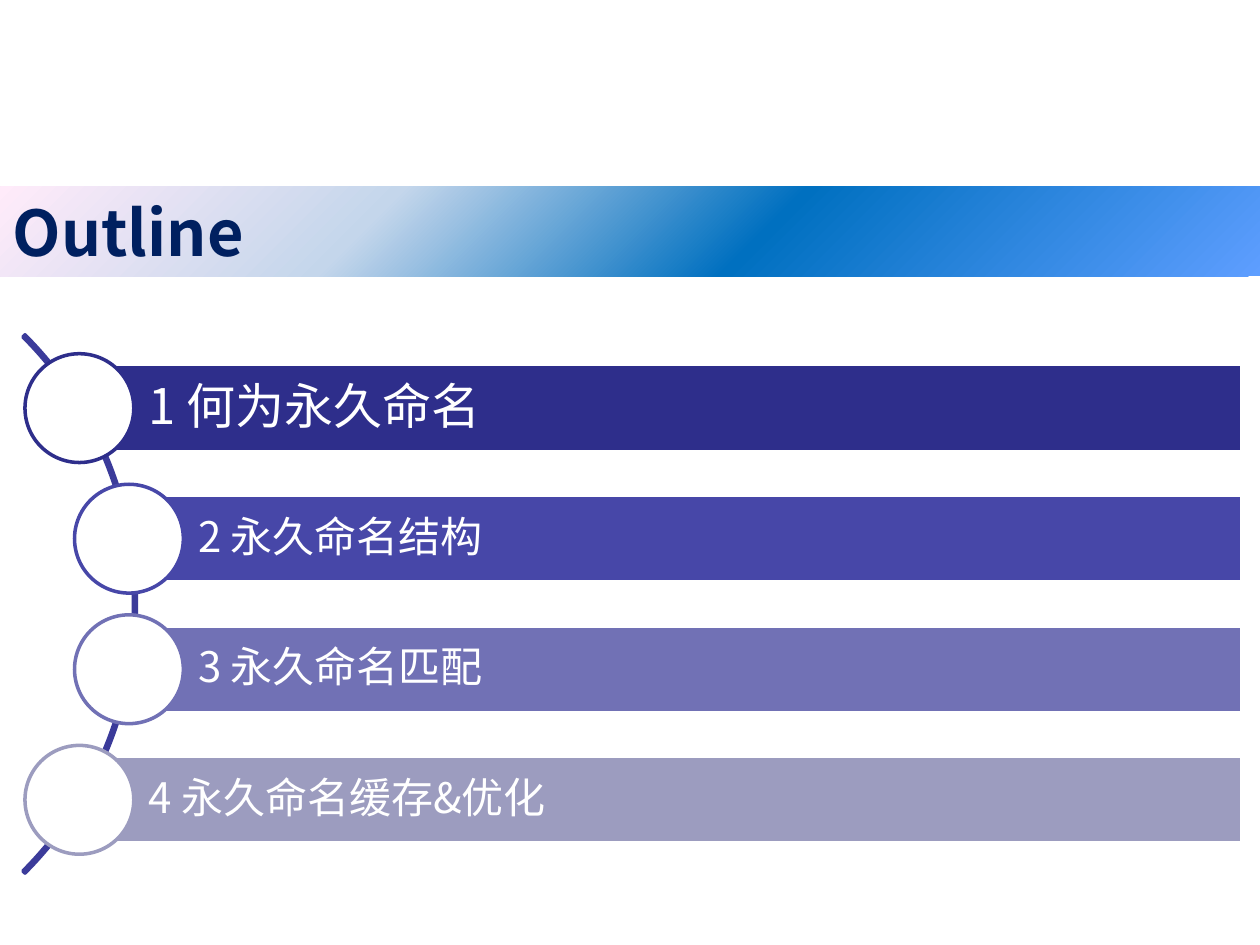
import pptx
import pptx.dml.color
import pptx.enum.shapes
import pptx.enum.text
import pptx.oxml
import pptx.oxml.ns
import pptx.util

Pt = pptx.util.Pt
SHAPE = pptx.enum.shapes.MSO_SHAPE
ANCHOR = pptx.enum.text.MSO_ANCHOR
ALIGN = pptx.enum.text.PP_ALIGN
FONT = "Noto Sans CJK SC"
WHITE = "FFFFFF"
TITLE_STOPS = [(0, "5E9EFF"), (40, "0070C0"), (70, "C4D6EB"), (100, "FFEBFA")]
ITEMS = [
    ("1 何为永久命名", 28, "2E2E8B", 45.4),
    ("2 永久命名结构", 24, "4747A8", 73.7),
    ("3 永久命名匹配", 24, "7171B5", 73.7),
    ("4 永久命名缓存&优化", 24, "9C9CBF", 45.4),
]


def rgb(value):
    return pptx.dml.color.RGBColor.from_string(value)


def set_text(sp, text, size, color, bold=False):
    p = sp.text_frame.paragraphs[0]
    p.alignment = ALIGN.LEFT
    r = p.add_run()
    r.text = text
    p.font.size = r.font.size = Pt(size)
    r.font.name = FONT
    r.font.bold = bold
    r.font.color.rgb = rgb(color)
    ea = pptx.oxml.parse_xml(
        f'<a:ea {pptx.oxml.ns.nsdecls("a")} typeface="{FONT}"/>')
    r.font._element.find(pptx.oxml.ns.qn("a:latin")).addnext(ea)
    return p


def add_shape(s, kind, left, top, width, height, fill, line):
    sp = s.shapes.add_shape(kind, Pt(left), Pt(top), Pt(width), Pt(height))
    sp.shadow.inherit = False
    if fill:
        sp.fill.solid()
        sp.fill.fore_color.rgb = rgb(fill)
    else:
        sp.fill.background()
    sp.line.color.rgb = rgb(line)
    sp.line.width = Pt(2)
    return sp


def add_title(s, left, top, width, height):
    sp = s.shapes.title
    sp.left, sp.top, sp.width, sp.height = Pt(left), Pt(top), Pt(width), Pt(height)
    sp.fill.gradient()
    sp.fill.gradient_angle = 135
    stops = sp._element.spPr.find(".//" + pptx.oxml.ns.qn("a:gsLst"))
    for stop in list(stops):
        stops.remove(stop)
    for pos, color in TITLE_STOPS:
        stops.append(pptx.oxml.parse_xml(
            f'<a:gs {pptx.oxml.ns.nsdecls("a")} pos="{pos * 1000}">'
            f'<a:srgbClr val="{color}"/></a:gs>'))
    tf = sp.text_frame
    tf.auto_size = pptx.enum.text.MSO_AUTO_SIZE.NONE
    tf.vertical_anchor = ANCHOR.MIDDLE
    tf.margin_top = tf.margin_bottom = 0
    set_text(sp, "Outline", 36, "002060", bold=True)


def add_item(s, left, top, width, height, text, size, color):
    bar = add_shape(s, SHAPE.RECTANGLE, left, top, width, height, color, WHITE)
    tf = bar.text_frame
    tf.word_wrap = True
    tf.vertical_anchor = ANCHOR.MIDDLE
    tf.margin_left = Pt(39.5)
    tf.margin_top = tf.margin_right = tf.margin_bottom = Pt(5)
    p = set_text(bar, text, size, WHITE)
    p.line_spacing = 0.9
    d = 62.2
    add_shape(s, SHAPE.OVAL, left - d / 2, top + (height - d) / 2, d, d, WHITE, color)


def add_outline(s, top, right, height, pitch):
    d = 435
    middle = top + (pitch * (len(ITEMS) - 1) + height) / 2
    arc = add_shape(s, SHAPE.BLOCK_ARC, -357, middle - d / 2, d, d, None, "3B3B9A")
    for i, value in enumerate((189, 27, 0.004)):
        arc.adjustments[i] = value
    for i, (text, size, color, left) in enumerate(ITEMS):
        add_item(s, left, top + i * pitch, right - left, height, text, size, color)


def main():
    prs = pptx.Presentation()
    prs.slide_width, prs.slide_height = Pt(720), Pt(540)
    s = prs.slides.add_slide(prs.slide_layouts[5])
    add_title(s, 0, 106.8, 720, 51.2)
    add_outline(s, 208.4, 709.9, 49.7, 74.6)
    prs.save("out.pptx")


if __name__ == "__main__":
    main()
